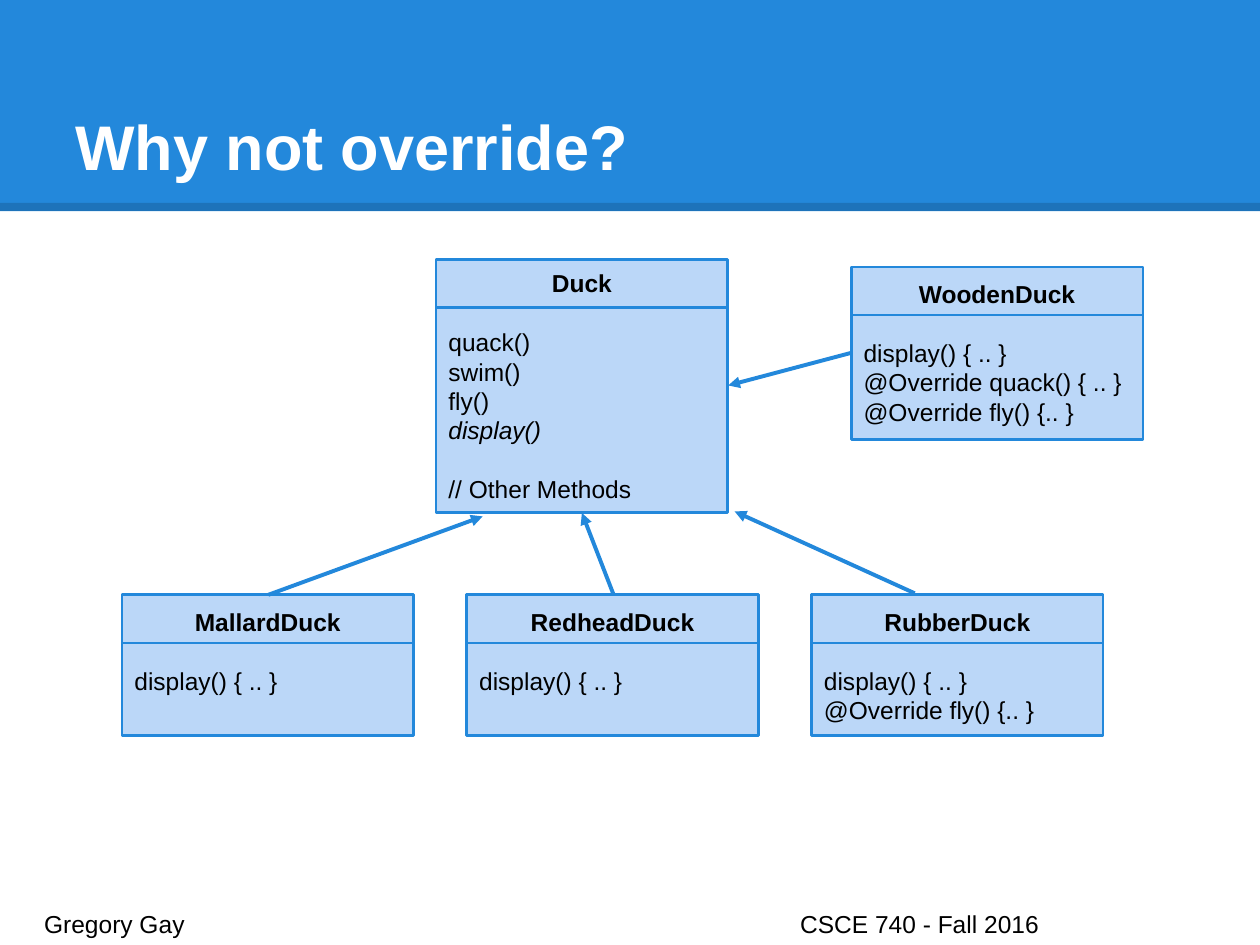
from lxml.etree import SubElement
from pptx import Presentation
from pptx.dml.color import RGBColor
from pptx.enum.shapes import MSO_CONNECTOR, MSO_SHAPE
from pptx.enum.text import MSO_ANCHOR, PP_ALIGN
from pptx.oxml.ns import qn
from pptx.util import Cm, Pt

# Content
TITLE = "Why not override?"
FOOTER = "Gregory Gay\tCSCE 740 - Fall 2016"
COLORS = {"blue": "2388DB", "pale": "BBD7F8", "white": "FFFFFF", "black": "000000"}
DISPLAY = "display() { .. }"
OVERRIDE_FLY = "@Override fly() {.. }"
ABSTRACT, COMMENT = "display()", "// Other Methods"

# Superclass and the class beside it: name, methods, left, top, height, top margin (cm)
UPPER_CLASSES = [
    ("Duck", ["quack()", "swim()", "fly()", ABSTRACT, COMMENT], 8.79, 5.23, 5.1, 0.18),
    ("WoodenDuck", [DISPLAY, "@Override quack() { .. }", OVERRIDE_FLY], 17.16, 5.38, 3.48, 0.25),
]
# Row of subclasses
SUBCLASSES = [
    ("MallardDuck", [DISPLAY]),
    ("RedheadDuck", [DISPLAY]),
    ("RubberDuck", [DISPLAY, OVERRIDE_FLY]),
]
# Inheritance arrows: start x, y, end x, y (cm)
ARROWS = [
    (5.41, 11.99, 9.73, 10.41),
    (12.37, 11.99, 11.73, 10.34),
    (18.44, 11.96, 14.81, 10.31),
    (17.17, 7.11, 14.68, 7.77),
]

# Layout (cm)
SLIDE_WIDTH, SLIDE_HEIGHT = 25.4, 19.05
BOX_WIDTH, HEADER_HEIGHT = 5.88, 0.97
ROW_LEFT, ROW_TOP, ROW_STEP, ROW_HEIGHT = 2.46, 11.99, 6.95, 2.84
MARGIN = 0.25
LINE_PITCH = Pt(16.8)


def color(name):
    return RGBColor.from_string(COLORS[name])


def set_font(paragraph, size, name="black", bold=False, italic=False):
    font = paragraph.font
    font.name, font.size = "Arial", Pt(size)
    font.bold, font.italic = bold, italic
    font.color.rgb = color(name)


def set_frame(frame, anchor, top=MARGIN, bottom=MARGIN):
    frame.word_wrap = True
    frame.vertical_anchor = anchor
    frame.margin_left = frame.margin_right = Cm(MARGIN)
    frame.margin_top, frame.margin_bottom = Cm(top), Cm(bottom)


def add_rectangle(slide, left, top, width, height, fill):
    shape = slide.shapes.add_shape(
        MSO_SHAPE.RECTANGLE, Cm(left), Cm(top), Cm(width), Cm(height))
    shape.shadow.inherit = False
    shape.fill.solid()
    shape.fill.fore_color.rgb = color(fill)
    shape.line.fill.background()
    return shape


def add_line(slide, x1, y1, x2, y2, width, name="blue", arrow=False, opacity=None):
    line = slide.shapes.add_connector(
        MSO_CONNECTOR.STRAIGHT, Cm(x1), Cm(y1), Cm(x2), Cm(y2))
    line.line.width = Pt(width)
    line.line.color.rgb = color(name)
    properties = line._element.spPr
    outline = properties.get_or_add_ln()
    if opacity is not None:
        SubElement(outline.find(".//" + qn("a:srgbClr")), qn("a:alpha"),
                   val=str(opacity * 1000))
    if arrow:
        SubElement(outline, qn("a:tailEnd"), type="triangle")
    SubElement(properties, qn("a:effectLst"))


def add_text(slide, text, left, top, width, height, anchor):
    box = slide.shapes.add_textbox(Cm(left), Cm(top), Cm(width), Cm(height))
    set_frame(box.text_frame, anchor)
    paragraph = box.text_frame.paragraphs[0]
    paragraph.text = text
    return paragraph


def add_class(slide, name, methods, left, top, height, margin):
    box = add_rectangle(slide, left, top, BOX_WIDTH, height, "pale")
    box.line.color.rgb = color("blue")
    box.line.width = Pt(1.5)
    frame = box.text_frame
    set_frame(frame, MSO_ANCHOR.TOP, margin, 0)
    for index, text in enumerate([name, *methods]):
        paragraph = frame.paragraphs[0] if index == 0 else frame.add_paragraph()
        paragraph.text = text
        paragraph.alignment = PP_ALIGN.LEFT if index else PP_ALIGN.CENTER
        paragraph.line_spacing = LINE_PITCH
        # One line of space below the class name and above the comment
        if index == 1 or text == COMMENT:
            paragraph.space_before = LINE_PITCH
        set_font(paragraph, 14, bold=index == 0, italic=text == ABSTRACT)
    divider = top + HEADER_HEIGHT
    add_line(slide, left, divider, left + BOX_WIDTH, divider, 1.5)


def main():
    presentation = Presentation()
    presentation.slide_width = Cm(SLIDE_WIDTH)
    presentation.slide_height = Cm(SLIDE_HEIGHT)
    slide = presentation.slides.add_slide(presentation.slide_layouts[6])

    # Title band
    add_rectangle(slide, 0, 0, SLIDE_WIDTH, 4.26, "blue")
    add_line(slide, 0, 4.17, SLIDE_WIDTH, 4.17, 4.5, "black", opacity=15)
    title = add_text(slide, TITLE, 1.27, 0.76, 22.86, 3.18, MSO_ANCHOR.BOTTOM)
    set_font(title, 36, "white", bold=True)

    # Class diagram
    for duck_class in UPPER_CLASSES:
        add_class(slide, *duck_class)
    for column, (name, methods) in enumerate(SUBCLASSES):
        add_class(slide, name, methods, ROW_LEFT + column * ROW_STEP,
                  ROW_TOP, ROW_HEIGHT, MARGIN)
    for arrow in ARROWS:
        add_line(slide, *arrow, 2.25, arrow=True)

    # Footer
    footer = add_text(slide, FOOTER, 0.64, 18.08, 24.16, 0.76, MSO_ANCHOR.TOP)
    tabs = SubElement(footer._p.get_or_add_pPr(), qn("a:tabLst"))
    SubElement(tabs, qn("a:tab"), pos=str(Cm(15.24)), algn="l")
    set_font(footer, 14)

    presentation.save("out.pptx")


if __name__ == "__main__":
    main()
